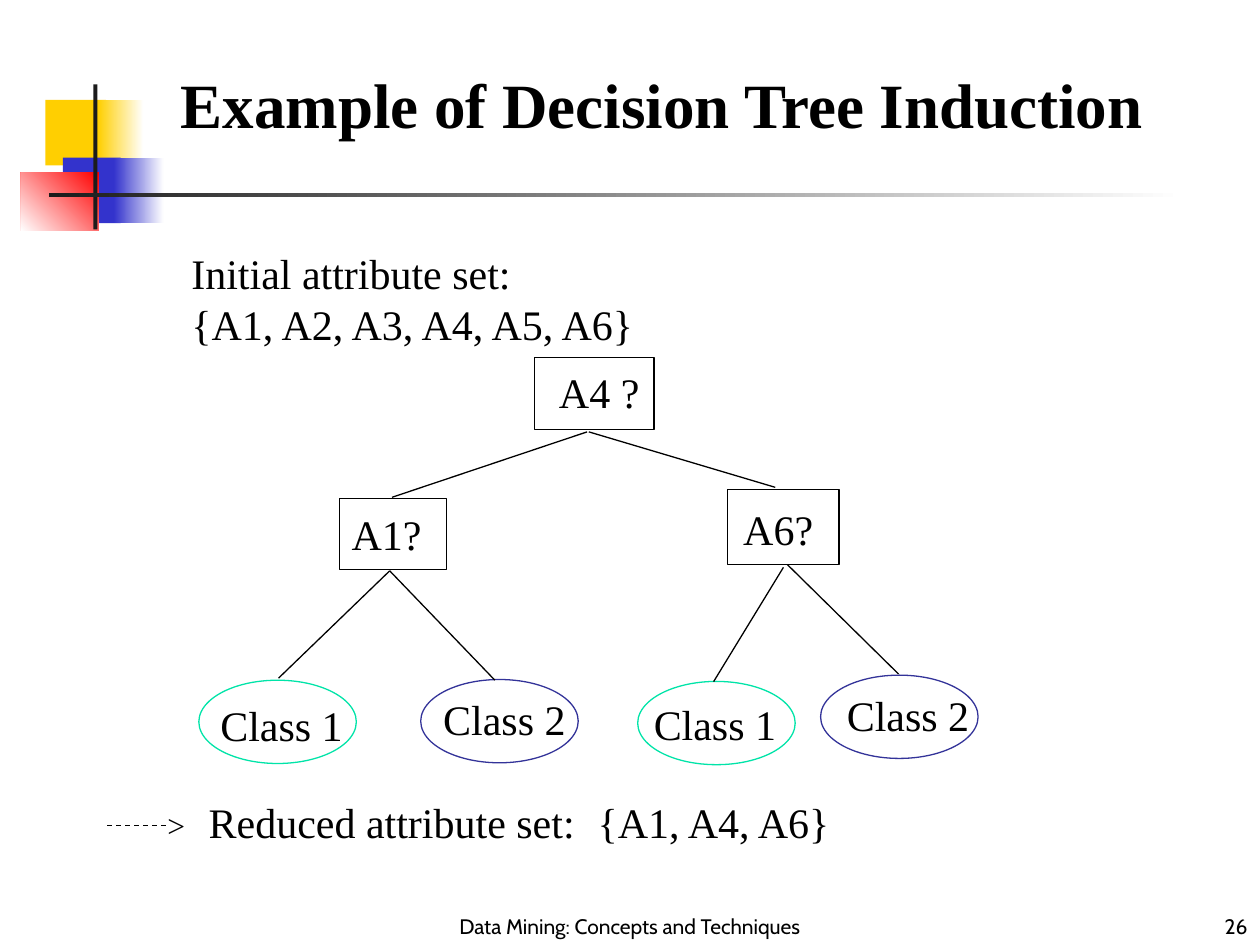
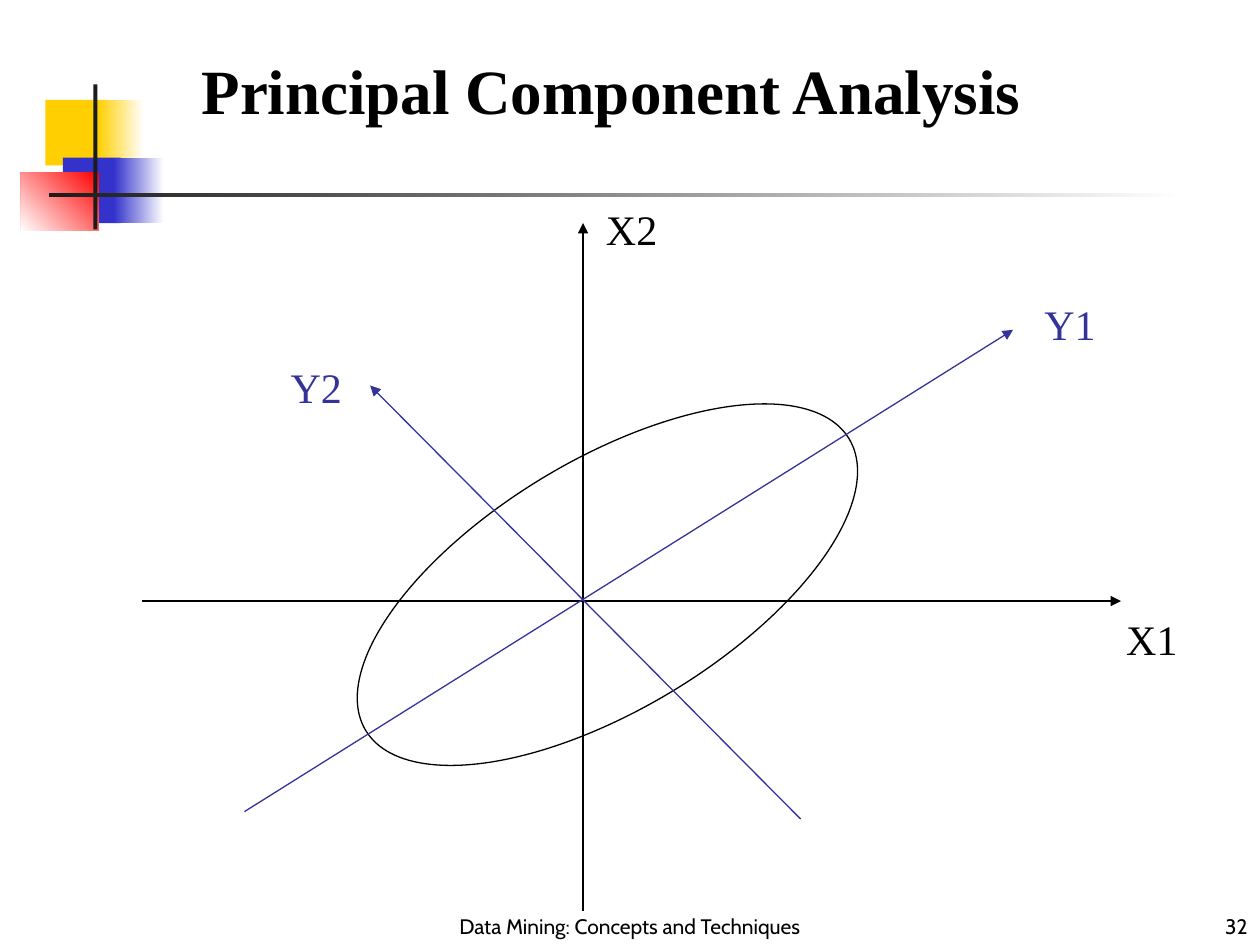
import dataclasses

import pptx
import pptx.dml.color
import pptx.enum.dml
import pptx.enum.shapes
import pptx.enum.text
import pptx.oxml
import pptx.oxml.ns
import pptx.util

Pt = pptx.util.Pt
RGB = pptx.dml.color.RGBColor.from_string
PRESET = pptx.enum.shapes.MSO_SHAPE
ALIGN = pptx.enum.text.PP_ALIGN
ANCHOR = pptx.enum.text.MSO_ANCHOR
DRAWING = pptx.oxml.ns.nsdecls("a")


@dataclasses.dataclass(frozen=True)
class Theme:
    ink: str = "000000"
    paper: str = "FFFFFF"
    yellow: str = "FFCF01"
    blue: str = "3333CC"
    red: str = "FF0000"
    bar: str = "1C1C1C"
    green: str = "00E4A8"
    indigo: str = "333399"
    serif: str = "Times New Roman"
    sans: str = "Cabin"
    title: float = 36
    body: float = 24
    mark: float = 18
    footer: float = 12
    stroke: float = 0.75


THEME = Theme()


def write(paragraph, text, size, color=THEME.ink, font=THEME.serif, bold=False):
    run = paragraph.add_run()
    run.text = text
    run.font.name = font
    run.font.size = Pt(size)
    run.font.bold = bold
    run.font.color.rgb = RGB(color)


def add_label(slide, lines, left, top, width, height=36, size=THEME.body,
              color=THEME.ink, font=THEME.serif, align=ALIGN.LEFT, anchor=ANCHOR.TOP):
    box = slide.shapes.add_textbox(Pt(left), Pt(top), Pt(width), Pt(height))
    frame = box.text_frame
    frame.word_wrap = True
    frame.vertical_anchor = anchor
    for index, line in enumerate(lines):
        paragraph = frame.add_paragraph() if index else frame.paragraphs[0]
        paragraph.alignment = align
        write(paragraph, line, size, color, font)
    return frame


def add_tab_stop(paragraph, position):
    stops = f'<a:tabLst {DRAWING}><a:tab pos="{Pt(position)}" algn="l"/></a:tabLst>'
    paragraph._p.get_or_add_pPr().append(pptx.oxml.parse_xml(stops))


def add_block(slide, left, top, width, height, color, fade_angle=None):
    block = slide.shapes.add_shape(
        PRESET.RECTANGLE, Pt(left), Pt(top), Pt(width), Pt(height))
    block.shadow.inherit = False
    block.line.fill.background()
    if fade_angle is None:
        block.fill.solid()
        block.fill.fore_color.rgb = RGB(color)
    else:
        block.fill.gradient()
        block.fill.gradient_angle = fade_angle
        for stop, shade in zip(block.fill.gradient_stops, (color, THEME.paper)):
            stop.color.rgb = RGB(shade)


def add_outline(slide, preset, left, top, width, height, color=THEME.ink, rotation=0):
    outline = slide.shapes.add_shape(preset, Pt(left), Pt(top), Pt(width), Pt(height))
    outline.shadow.inherit = False
    outline.fill.background()
    outline.line.color.rgb = RGB(color)
    outline.line.width = Pt(THEME.stroke)
    outline.rotation = rotation


def add_line(slide, start, end, color=THEME.ink, arrow=False, dashed=False):
    line = slide.shapes.add_connector(
        pptx.enum.shapes.MSO_CONNECTOR.STRAIGHT, *map(Pt, start + end))
    line.line.color.rgb = RGB(color)
    line.line.width = Pt(THEME.stroke)
    if dashed:
        line.line.dash_style = pptx.enum.dml.MSO_LINE.DASH
    if arrow:
        line.get_or_add_ln().append(
            pptx.oxml.parse_xml(f'<a:tailEnd {DRAWING} type="triangle"/>'))
    line._element.spPr.append(pptx.oxml.parse_xml(f"<a:effectLst {DRAWING}/>"))


def add_title(slide, text, left, top, width):
    title = slide.shapes.title
    title.left, title.top, title.width, title.height = map(Pt, (left, top, width, 50))
    frame = title.text_frame
    frame.auto_size = pptx.enum.text.MSO_AUTO_SIZE.NONE
    frame.word_wrap = True
    frame.vertical_anchor = ANCHOR.TOP
    frame.paragraphs[0].alignment = ALIGN.LEFT
    write(frame.paragraphs[0], text, THEME.title, bold=True)


def add_emblem(slide):
    add_block(slide, 26, 57, 34.5, 37.5, THEME.yellow)
    add_block(slide, 56, 57, 26, 37.5, THEME.yellow, fade_angle=0)
    add_block(slide, 36, 90, 33, 37.5, THEME.blue)
    add_block(slide, 65, 90, 28.5, 37.5, THEME.blue, fade_angle=0)
    add_block(slide, 12, 98.5, 44.5, 33.5, THEME.red, fade_angle=225)
    add_block(slide, 53.3, 48.2, 2.4, 83, THEME.bar)
    add_block(slide, 28, 110.3, 648, 2.5, THEME.bar, fade_angle=0)


def add_footer(slide, number):
    for text, left, width, align in (
        ("Data Mining: Concepts and Techniques", 246, 228, ALIGN.CENTER),
        (number, 570, 150, ALIGN.RIGHT),
    ):
        add_label(slide, [text], left, 510, width, 30, THEME.footer,
                  font=THEME.sans, align=align, anchor=ANCHOR.BOTTOM)


def start_slide(deck, title, title_left, title_top, title_width, number):
    slide = deck.slides.add_slide(deck.slide_layouts[5])
    add_emblem(slide)
    add_title(slide, title, title_left, title_top, title_width)
    add_footer(slide, number)
    return slide


def build_decision_tree(deck):
    slide = start_slide(deck, "Example of Decision Tree Induction", 96, 34, 606, "26")
    add_label(slide, ["Initial attribute set:", "{A1, A2, A3, A4, A5, A6}"],
              102.3, 138, 280, 65)

    tests = (
        ("A4 ?", (305.3, 204.5, 68.5, 41), (312.3, 206)),
        ("A1?", (193.8, 284.7, 61.3, 40.7), (193.8, 286.8)),
        ("A6?", (415.8, 279.6, 63.7, 43), (417.6, 284.4)),
    )
    for question, frame, label_at in tests:
        add_outline(slide, PRESET.RECTANGLE, *frame)
        add_label(slide, [question], *label_at, 70)

    leaves = (
        ("Class 1", (113.6, 388.7), (118.8, 396.2), THEME.green),
        ("Class 2", (240.4, 388.3), (246.2, 392.6), THEME.indigo),
        ("Class 1", (364.4, 389.4), (366.5, 395.4), THEME.green),
        ("Class 2", (468.9, 385.8), (476.8, 390.3), THEME.indigo),
    )
    for outcome, oval_at, label_at, color in leaves:
        add_outline(slide, PRESET.OVAL, *oval_at, 90, 47.6, color)
        add_label(slide, [outcome], *label_at, 90)

    branches = (
        ((335.5, 246.8), (224, 284.2)),
        ((336.5, 246.8), (443, 278.5)),
        ((222.7, 326.2), (159.2, 387.5)),
        ((222.7, 326.2), (282.8, 388.7)),
        ((447.7, 324.2), (407.8, 389.5)),
        ((450, 322.7), (513.5, 385.2)),
    )
    for start, end in branches:
        add_line(slide, start, end)

    add_line(slide, (61.2, 471.6), (95.8, 471.6), dashed=True)
    add_label(slide, [">"], 88.6, 457.2, 26, 29, THEME.mark)
    reduced = add_label(slide, ["Reduced attribute set:\t{A1, A4, A6}"],
                        112.2, 451.5, 376)
    add_tab_stop(reduced.paragraphs[0], 222.3)


def build_principal_components(deck):
    slide = start_slide(deck, "Principal Component Analysis", 108, 26, 528, "32")
    add_outline(slide, PRESET.OVAL, 185.8, 262.8, 322.6, 142.6, rotation=328.9)
    axes = (
        ("X1", (81.2, 343.5), (640.6, 343.5), (636.5, 347.2), THEME.ink),
        ("X2", (333.2, 520.5), (333.2, 127.5), (339.2, 113), THEME.ink),
        ("Y1", (139.7, 463.8), (578.9, 188.5), (589.7, 167.2), THEME.indigo),
        ("Y2", (457.5, 468), (211.5, 220.3), (159, 203.2), THEME.indigo),
    )
    for name, start, end, label_at, color in axes:
        add_line(slide, start, end, color, arrow=True)
        add_label(slide, [name], *label_at, 50, color=color)


def main():
    deck = pptx.Presentation()
    deck.slide_width, deck.slide_height = Pt(720), Pt(540)
    build_decision_tree(deck)
    build_principal_components(deck)
    deck.save("out.pptx")


if __name__ == "__main__":
    main()
